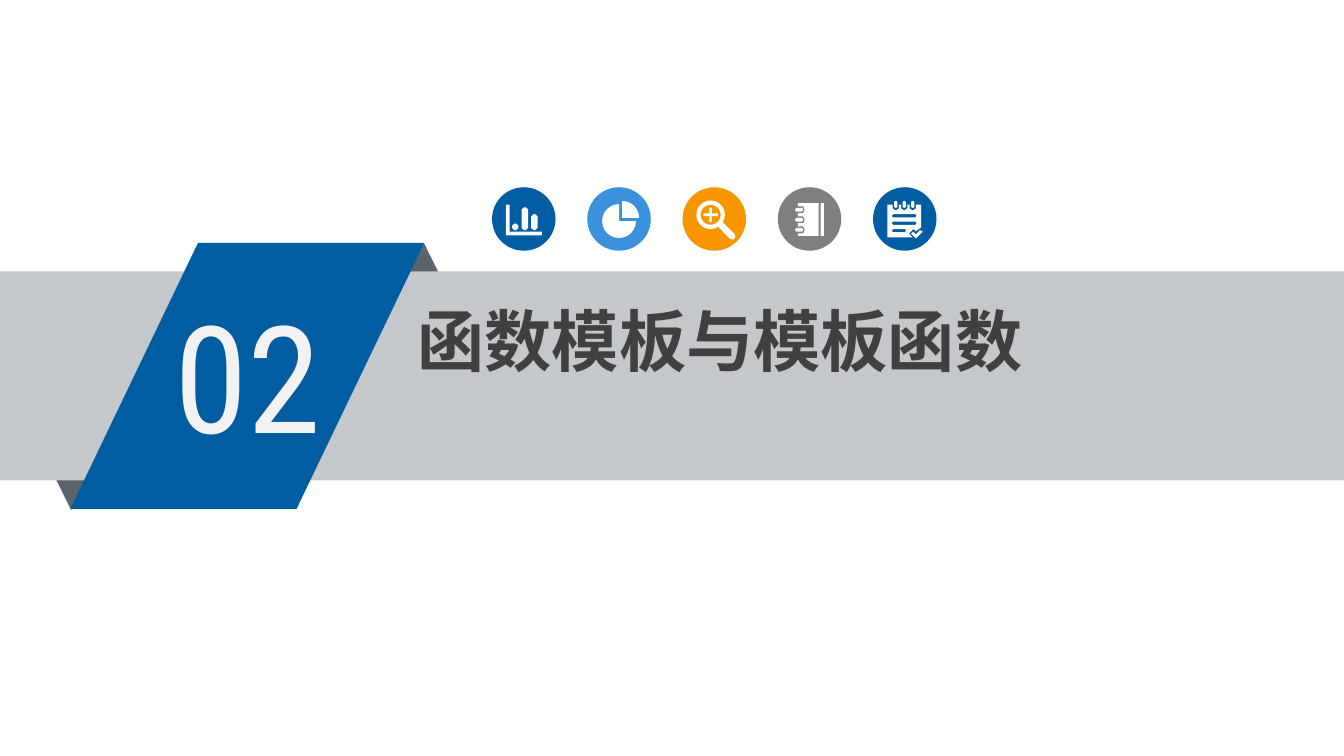
"""Build the section title slide for chapter 02."""
import dataclasses
import math

import pptx
import pptx.dml.color
import pptx.enum.shapes
import pptx.enum.text
import pptx.oxml.ns
import pptx.util
from lxml import etree

Cm = pptx.util.Cm
Kind = pptx.enum.shapes.MSO_SHAPE


@dataclasses.dataclass(frozen=True)
class Theme:
    blue: str = "005DA2"
    sky: str = "3992DB"
    orange: str = "F79600"
    grey: str = "7F7F7F"
    band: str = "C4C7CB"
    fold: str = "5D636A"
    white: str = "FFFFFF"
    number: str = "F2F2F2"
    title: str = "404040"
    number_font: str = "Roboto Condensed"
    title_font: str = "Noto Sans CJK SC"
    number_size: int = 80
    title_size: int = 36


THEME = Theme()
BADGE_LEFT, BADGE_TOP, BADGE_SIZE, BADGE_PITCH = 9.3, 3.54, 1.2, 1.8


def rgb(color):
    return pptx.dml.color.RGBColor.from_string(color)


def paint(shape, color):
    shape.shadow.inherit = False
    shape.fill.solid()
    shape.fill.fore_color.rgb = rgb(color)
    shape.line.fill.background()


def add_shape(shapes, kind, box, color, rotation=0):
    shape = shapes.add_shape(kind, *(Cm(length) for length in box))
    shape.rotation = rotation
    paint(shape, color)
    return shape


def add_text(shapes, text, box, *, font, size, color, bold=False):
    frame = shapes.add_textbox(*(Cm(length) for length in box)).text_frame
    frame.word_wrap = True
    frame.auto_size = pptx.enum.text.MSO_AUTO_SIZE.SHAPE_TO_FIT_TEXT
    frame.margin_left = frame.margin_right = Cm(0.19)
    frame.margin_top = frame.margin_bottom = Cm(0.1)
    run = frame.paragraphs[0].add_run()
    run.text = text
    run.font.name = font
    run.font.size = pptx.util.Pt(size)
    run.font.bold = bold
    run.font.color.rgb = rgb(color)
    east_asian = etree.SubElement(run.font._element, pptx.oxml.ns.qn("a:ea"))
    east_asian.set("typeface", font)


def rectangle(x, y, width, height):
    return [(x, y), (x + width, y), (x + width, y + height), (x, y + height)]


def pill(x, y, width, height):
    cut = min(width, height) / 3
    right, bottom = x + width, y + height
    return [(x + cut, y), (right - cut, y), (right, y + cut),
            (right, bottom - cut), (right - cut, bottom), (x + cut, bottom),
            (x, bottom - cut), (x, y + cut)]


def arc(x, y, radius, start, end, steps):
    angles = [math.radians(start + (end - start) * step / steps)
              for step in range(steps + 1)]
    return [(x + radius * math.cos(angle), y + radius * math.sin(angle))
            for angle in angles]


def bars_outline():
    axes = [(0.26, 0.33), (0.33, 0.33), (0.33, 0.84),
            (0.94, 0.84), (0.94, 0.91), (0.26, 0.91)]
    return [axes] + [pill(0.38 + 0.18 * index, 0.81 - height, 0.12, height)
                     for index, height in enumerate((0.12, 0.43, 0.3))]


def pie_outline():
    return [[(0.66, 0.58)] + arc(0.66, 0.58, 0.32, 270, 360, 6),
            [(0.6, 0.64)] + arc(0.6, 0.64, 0.32, 0, 270, 18)]


def magnifier_outline():
    handle = [(0.99, 0.89), (1, 0.95), (0.96, 0.99), (0.9, 0.98)]
    near, far, left, right = 0.1, 0.17, 0.36, 0.7
    plus = [(left, 0.49), (0.5, 0.49), (0.5, 0.35), (0.56, 0.35),
            (0.56, 0.49), (right, 0.49), (right, 0.55), (0.56, 0.55),
            (0.56, 0.69), (0.5, 0.69), (0.5, 0.55), (left, 0.55)]
    plus = [(0.53 + (x - 0.53) * 0.8, 0.52 + (y - 0.52) * 0.8) for x, y in plus]
    return [arc(0.53, 0.52, 0.27, 58, 392, 20) + handle,
            arc(0.53, 0.52, 0.19, 0, 345, 23), plus]


def notebook_outline():
    ring_tops = (0.77, 0.58, 0.39)
    cover = [(0.38, 0.3), (0.77, 0.3), (0.77, 0.92), (0.38, 0.92)]
    for y in ring_tops:
        cover += [(0.38, y + 0.1), (0.48, y + 0.1), (0.51, y + 0.04),
                  (0.48, y - 0.03), (0.38, y - 0.03)]
    return [cover, rectangle(0.81, 0.3, 0.06, 0.62)] + [
        pill(0.33, y, 0.15, 0.07) for y in ring_tops]


def checklist_outline():
    ring_lefts = (0.4, 0.56, 0.72)
    page = [(0.27, 0.95), (0.27, 0.33)]
    for x in ring_lefts:
        page += [(x - 0.03, 0.33), (x - 0.03, 0.4), (x + 0.03, 0.44),
                 (x + 0.09, 0.4), (x + 0.09, 0.33)]
    page += [(0.91, 0.33), (0.91, 0.76), (0.81, 0.83), (0.76, 0.79),
             (0.68, 0.87), (0.75, 0.95)]
    check = [(0.94, 0.84), (0.81, 0.97), (0.72, 0.88),
             (0.76, 0.84), (0.81, 0.89), (0.89, 0.81)]
    lines = [pill(0.36, y, width, 0.06)
             for y, width in ((0.51, 0.46), (0.65, 0.46), (0.79, 0.26))]
    return [page, check] + lines + [pill(x, 0.26, 0.06, 0.13)
                                    for x in ring_lefts]


def add_icon(shapes, left, contours):
    placed = [[(Cm(left + x), Cm(BADGE_TOP + y)) for x, y in contour]
              for contour in contours]
    builder = shapes.build_freeform(*placed[0][0])
    for index, contour in enumerate(placed):
        if index:
            builder.move_to(*contour[0])
        builder.add_line_segments(contour[1:], close=True)
    paint(builder.convert_to_shape(), THEME.white)


def add_badge(slide, column, color, contours):
    shapes = slide.shapes.add_group_shape().shapes
    left = BADGE_LEFT + column * BADGE_PITCH
    add_shape(shapes, Kind.OVAL, (left, BADGE_TOP, BADGE_SIZE, BADGE_SIZE), color)
    add_icon(shapes, left, contours)


def add_banner(slide):
    shapes = slide.shapes.add_group_shape().shapes
    add_shape(shapes, Kind.ISOSCELES_TRIANGLE, (6.87, 4.6, 2.29, 2.31), THEME.fold)
    add_shape(shapes, Kind.ISOSCELES_TRIANGLE, (0.2, 7.33, 2.29, 2.31),
              THEME.fold, rotation=180)
    add_shape(shapes, Kind.RECTANGLE, (0, 5.13, 25.4, 3.95), THEME.band)
    ribbon = add_shape(shapes, Kind.PARALLELOGRAM, (1.33, 4.59, 6.69, 5.03),
                       THEME.blue)
    ribbon.adjustments[0] = 0.48
    add_text(shapes, "02", (3.1, 5.28, 3.68, 3.61), size=THEME.number_size,
             font=THEME.number_font, color=THEME.number)


def main():
    presentation = pptx.Presentation()
    presentation.slide_width, presentation.slide_height = Cm(25.4), Cm(14.29)
    slide = presentation.slides.add_slide(presentation.slide_layouts[6])
    add_banner(slide)
    add_text(slide.shapes, "函数模板与模板函数", (7.7, 5.56, 13.82, 1.73),
             size=THEME.title_size, font=THEME.title_font, color=THEME.title,
             bold=True)
    badges = [(4, THEME.blue, checklist_outline()),
              (2, THEME.orange, magnifier_outline()),
              (3, THEME.grey, notebook_outline()),
              (0, THEME.blue, bars_outline()),
              (1, THEME.sky, pie_outline())]
    for column, color, contours in badges:
        add_badge(slide, column, color, contours)
    presentation.save("out.pptx")


if __name__ == "__main__":
    main()
